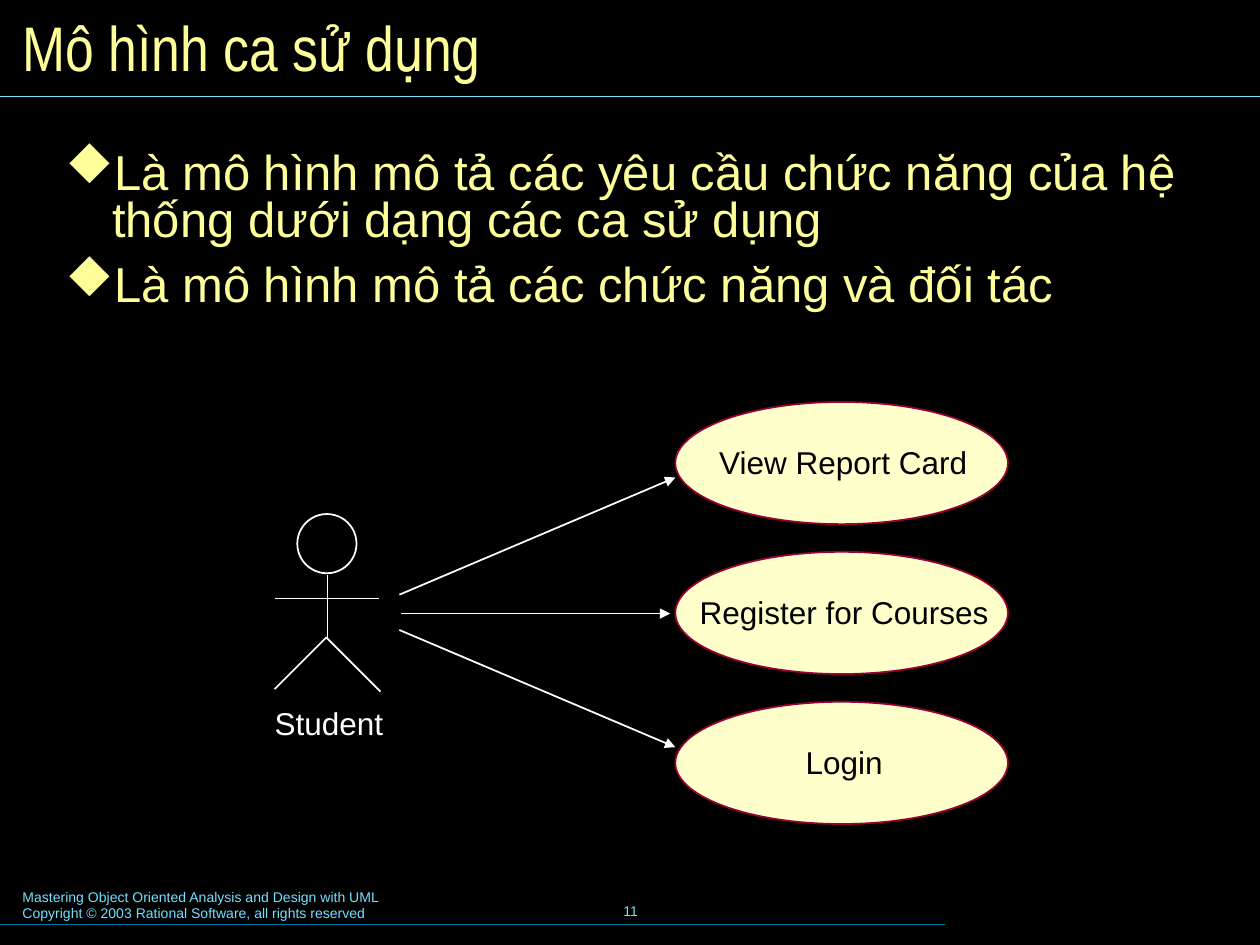
from dataclasses import dataclass

from lxml.etree import SubElement
from pptx import Presentation
from pptx.dml.color import RGBColor
from pptx.enum.shapes import MSO_CONNECTOR, MSO_SHAPE
from pptx.enum.text import MSO_ANCHOR, MSO_AUTO_SIZE, PP_ALIGN
from pptx.oxml.ns import qn
from pptx.util import Inches, Pt


@dataclass(frozen=True)
class Theme:
    background: str = "000000"
    heading: str = "FFFF99"
    footer: str = "73E1FF"
    footer_rule: str = "007E9F"
    actor: str = "FFFFFF"
    case_fill: str = "FFFFCC"
    case_line: str = "990033"
    case_text: str = "000000"
    font: str = "Arial"
    title_font: str = "Arial Narrow"
    bullet_font: str = "Wingdings"
    title_size: float = 36
    body_size: float = 28
    label_size: float = 18
    footer_size: float = 8
    thin: float = 0.75
    stroke: float = 1


@dataclass(frozen=True)
class Box:
    """Place and size in grid columns and rows."""
    x: float
    y: float
    w: float
    h: float


@dataclass(frozen=True)
class UseCase:
    name: str
    label_width: float
    arrow_start: tuple[float, float]
    arrow_end: tuple[float, float]


THEME = Theme()
COLUMNS, ROWS = 100, 75
CASE = Box(53.6, 31.9, 26.4, 9.7)
CASE_PITCH = 11.9
LABEL_CENTRE = 67
CASES = [
    UseCase("View Report Card", 21.8, (31.7, 47.2), (53.6, 37.9)),
    UseCase("Register for Courses", 24.9, (31.8, 48.7), (53.2, 48.7)),
    UseCase("Login", 8.1, (31.7, 50), (53.6, 59.3)),
]

prs = Presentation()
prs.slide_width, prs.slide_height = Inches(10), Inches(7.5)
s = prs.slides.add_slide(prs.slide_layouts[6])


def col(n: float) -> int:
    return round(prs.slide_width * n / COLUMNS)


def row(n: float) -> int:
    return round(prs.slide_height * n / ROWS)


def place(box: Box) -> tuple[int, int, int, int]:
    return col(box.x), row(box.y), col(box.w), row(box.h)


def rgb(color: str) -> RGBColor:
    return RGBColor.from_string(color)


def add_bullet(p, color: str, indent: float) -> None:
    """Hang the paragraph on a diamond, which is the letter u in the symbol font."""
    pPr = p._p.get_or_add_pPr()
    pPr.set("marL", str(col(indent)))
    pPr.set("indent", str(-col(indent)))
    SubElement(SubElement(pPr, qn("a:buClr")), qn("a:srgbClr"), val=color)
    SubElement(pPr, qn("a:buFont"), typeface=THEME.bullet_font, pitchFamily="2", charset="2")
    SubElement(pPr, qn("a:buChar"), char="u")


def add_text(box: Box, *lines: str, size: float, color: str, font: str = THEME.font,
             align=PP_ALIGN.LEFT, anchor=MSO_ANCHOR.TOP, wrap: bool = True,
             fit: bool = False, inset: float = 0.1, bullets: bool = False,
             spacing: float = 1, gap: float = 0) -> None:
    tf = s.shapes.add_textbox(*place(box)).text_frame
    tf.word_wrap, tf.vertical_anchor = wrap, anchor
    if fit:
        tf.auto_size = MSO_AUTO_SIZE.SHAPE_TO_FIT_TEXT
    tf.margin_left = tf.margin_right = Inches(inset)
    tf.margin_top = tf.margin_bottom = Inches(inset / 2)
    for i, line in enumerate(lines):
        p = tf.paragraphs[0] if i == 0 else tf.add_paragraph()
        if bullets:
            add_bullet(p, color, 3.7)
        p.alignment, p.line_spacing = align, spacing
        p.space_before = Pt(gap if i else 0)
        r = p.add_run()
        r.text = line
        r.font.name, r.font.size = font, Pt(size)
        r.font.color.rgb = rgb(color)


def set_outline(sp, color: str, width: float) -> None:
    sp.line.color.rgb = rgb(color)
    sp.line.width = Pt(width)


def add_line(start: tuple[float, float], end: tuple[float, float], color: str = THEME.actor,
             width: float = THEME.stroke, arrow: bool = False) -> None:
    sp = s.shapes.add_connector(MSO_CONNECTOR.STRAIGHT, col(start[0]), row(start[1]),
                                col(end[0]), row(end[1]))
    set_outline(sp, color, width)
    if arrow:
        SubElement(sp.line._get_or_add_ln(), qn("a:tailEnd"), type="triangle")
    SubElement(sp._element.spPr, qn("a:effectLst"))


def add_ellipse(box: Box, line: str, fill: str | None = None) -> None:
    sp = s.shapes.add_shape(MSO_SHAPE.OVAL, *place(box))
    sp.shadow.inherit = False
    if fill:
        sp.fill.solid()
        sp.fill.fore_color.rgb = rgb(fill)
    else:
        sp.fill.background()
    set_outline(sp, line, THEME.stroke)


def add_actor(name: str) -> None:
    add_ellipse(Box(23.6, 40.8, 4.7, 4.7), THEME.actor)
    add_line((26, 45.6), (26, 50.6))
    add_line((21.8, 47.5), (30.1, 47.5))
    builder = s.shapes.build_freeform(col(21.8), row(54.7))
    builder.add_line_segments([(col(25.9), row(50.6)), (col(30.2), row(54.9))], close=False)
    legs = builder.convert_to_shape()
    legs.shadow.inherit = False
    legs.fill.background()
    set_outline(legs, THEME.actor, THEME.stroke)
    add_text(Box(20.6, 55.3, 11.2, 4.2), name, size=THEME.label_size, color=THEME.actor,
             wrap=False, fit=True, inset=0.12)


def add_use_case(case: UseCase, index: int) -> None:
    y = CASE.y + index * CASE_PITCH
    add_ellipse(Box(CASE.x, y, CASE.w, CASE.h), THEME.case_line, THEME.case_fill)
    add_text(Box(LABEL_CENTRE - case.label_width / 2, y + 2.8, case.label_width, 4),
             case.name, size=THEME.label_size, color=THEME.case_text, wrap=False, fit=True)
    add_line(case.arrow_start, case.arrow_end, arrow=True)


def main() -> None:
    s.background.fill.solid()
    s.background.fill.fore_color.rgb = rgb(THEME.background)

    add_text(Box(0.8, 70, 51, 3.7), "Mastering Object Oriented Analysis and Design with UML",
             "Copyright © 2003 Rational Software, all rights reserved",
             size=THEME.footer_size, color=THEME.footer)
    add_text(Box(34.2, 69.8, 31.7, 5), "11", size=THEME.footer_size, color=THEME.footer,
             align=PP_ALIGN.CENTER, anchor=MSO_ANCHOR.MIDDLE, wrap=False)
    add_line((0, 73.35), (75, 73.35), THEME.footer_rule, THEME.thin)
    add_line((0, 7.65), (COLUMNS, 7.65), THEME.footer, THEME.thin)

    add_text(Box(0.8, 0.8, 98.4, 5.8), "Mô hình ca sử dụng", size=THEME.title_size,
             color=THEME.heading, font=THEME.title_font, anchor=MSO_ANCHOR.MIDDLE)
    add_text(Box(4, 11.5, 91.6, 55.2),
             "Là mô hình mô tả các yêu cầu chức năng của hệ thống dưới dạng các ca sử dụng",
             "Là mô hình mô tả các chức năng và đối tác",
             size=THEME.body_size, color=THEME.heading, inset=0.12,
             bullets=True, spacing=0.8, gap=10.5)

    add_actor("Student")
    for index, case in enumerate(CASES):
        add_use_case(case, index)
    prs.save("out.pptx")


if __name__ == "__main__":
    main()
